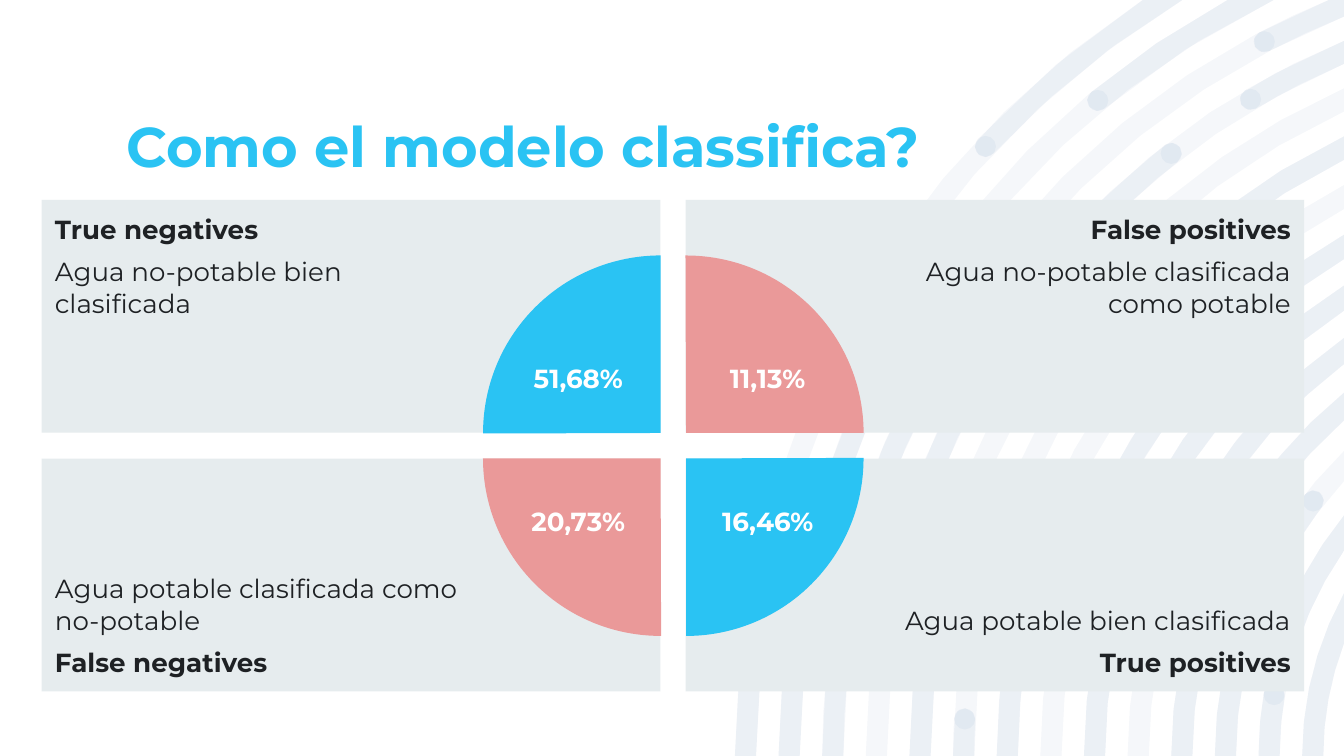
from math import acos, asin, cos, pi, sin

from lxml.etree import SubElement
from pptx import Presentation
from pptx.dml.color import RGBColor
from pptx.enum.shapes import MSO_SHAPE as Shape
from pptx.enum.text import MSO_ANCHOR as Anchor, PP_ALIGN as Align
from pptx.oxml.ns import qn
from pptx.util import Cm, Pt

CYAN = RGBColor(0x2A, 0xC3, 0xF3)
ROSE = RGBColor(0xEA, 0x99, 0x99)
PANEL = RGBColor(0xE6, 0xEC, 0xEE)
INK = RGBColor(0x1E, 0x21, 0x24)
WHITE = RGBColor(0xFF, 0xFF, 0xFF)
NAVY = RGBColor(0x00, 0x45, 0x91)
WIDTH, HEIGHT = 25.4, 14.29


def paint(shape, color, opacity=100):
    shape.shadow.inherit = False
    shape.line.fill.background()
    shape.fill.solid()
    shape.fill.fore_color.rgb = color
    if opacity < 100:
        tint = shape.fill._xPr.find(qn("a:solidFill"))[0]
        SubElement(tint, qn("a:alpha"), val=str(opacity * 1000))


def write(shape, lines, color, align, anchor, margins=None, size=14):
    frame = shape.text_frame
    frame_format = {"word_wrap": True, "vertical_anchor": anchor}
    if margins:
        sides = ("margin_left", "margin_top", "margin_right", "margin_bottom")
        frame_format.update(zip(sides, map(Cm, margins)))
    for name, value in frame_format.items():
        setattr(frame, name, value)
    for index, (text, bold) in enumerate(lines):
        para = frame.add_paragraph() if index else frame.paragraphs[0]
        para.alignment = align
        if index:
            para.space_before = Pt(6)
        if index and index == len(lines) - 1:
            para.space_after = Pt(6)
        span = para.add_run()
        span.text = text
        span_format = {"name": "Montserrat", "size": Pt(size), "bold": bold}
        for name, value in span_format.items():
            setattr(span.font, name, value)
        span.font.color.rgb = color


deck = Presentation()
deck.slide_width, deck.slide_height = Cm(WIDTH), Cm(HEIGHT)
page = deck.slides.add_slide(deck.slide_layouts[6])
shapes = page.shapes

# Concentric rings around a centre beyond the right edge
CENTER_X, CENTER_Y = 30.99, HEIGHT
OUTER, PITCH, BAND = 17.1, 10.72 / 13, 0.4
# Darker stretches per ring: heights of the lower and upper ends, None = slide edge
STRETCHES = [
    [(None, 8.89), (2.77, None)],
    [(None, 7.72), (1.9, None)],
    [(None, 12.65), (10.29, 5.56), (0.79, None)],
    [(9.47, 2.9), (1.88, None)],
    [(None, 8.97)],
    [(None, 13.59), (7.14, None)],
    [(None, 11.28), (7.47, 4.75)],
    [(12.55, None)],
    [(None, None)],
    [(10.97, None)],
    [(None, 12.55), (10.03, None)],
    [(None, 9.47)],
    [(None, 13.13), (12.09, None)],
    [(None, None)],
]
whole_rings = [[(None, None)]] * len(STRETCHES)
ring_layers, dots = [], []
for layer in (whole_rings, STRETCHES):
    contours = []
    for ring, stretches in enumerate(layer):
        outer = OUTER - ring * PITCH
        middle = outer - BAND / 2
        for low, high in stretches:
            angles = [None if y is None else asin((CENTER_Y - y) / middle)
                      for y in (low, high)]
            edges = []
            for radius in (outer, outer - BAND):
                right = acos((CENTER_X - WIDTH) / radius)
                top = asin(min(1, CENTER_Y / radius))
                start = angles[0] or 0
                stop = min(right, top) if high is None else angles[1]
                steps = max(2, round((stop - start) * 10))
                edges.append([(radius, start + (stop - start) * step / steps)
                              for step in range(steps + 1)])
            outline, back = edges
            caps = []
            for angle, sign in ((angles[1], 1), (angles[0], -1)):
                cap = []
                if angle is not None:
                    x, y = CENTER_X - middle * cos(angle), CENTER_Y - middle * sin(angle)
                    dots.append([(x + BAND / 2 * cos(pi * step / 6),
                                  y + BAND / 2 * sin(pi * step / 6)) for step in range(12)])
                    cap = [(middle + sign * BAND / 2 * cos(pi * step / 4),
                            angle + sign * BAND / 2 * sin(pi * step / 4) / middle)
                           for step in (1, 2, 3)]
                caps.append(cap)
            polar = outline + caps[0] + back[::-1] + caps[1]
            points = [(CENTER_X - radius * cos(angle), CENTER_Y - radius * sin(angle))
                      for radius, angle in polar]
            # The ring that meets the slide corner takes the corner in
            last = len(outline)
            if high is None and points[last - 1][0] < WIDTH - 0.01 and points[last][1] > 0.01:
                points.insert(last, (WIDTH, 0))
            contours.append(points)
    ring_layers.append(contours)

# Rings, darker stretches and the dots on their ends, one outline each
for contours in ring_layers + [dots]:
    builder = shapes.build_freeform(*map(Cm, contours[0][0]))
    for index, points in enumerate(contours):
        corners = [(Cm(x), Cm(y)) for x, y in points]
        if index:
            builder.move_to(*corners[0])
        builder.add_line_segments(corners[1:], close=True)
    paint(builder.convert_to_shape(), NAVY, 4)

# Title
title = shapes.add_textbox(Cm(2.39), Cm(2.31), Cm(20.65), Cm(1.09))
write(title, [("Como el modelo classifica?", True)], CYAN, Align.LEFT, Anchor.BOTTOM,
      (0, 0, 0, 0), 30)
title.text_frame.paragraphs[0].line_spacing = 0.9

# Four panels: column, row, lines of text
PANELS = [
    (0, 0, [("True negatives", True), ("Agua no-potable bien clasificada", False)]),
    (1, 0, [("False positives", True), ("Agua no-potable clasificada como potable", False)]),
    (0, 1, [("Agua potable clasificada como no-potable", False), ("False negatives", True)]),
    (1, 1, [("Agua potable bien clasificada", False), ("True positives", True)]),
]
for column, row, lines in PANELS:
    panel = shapes.add_shape(Shape.RECTANGLE, Cm(0.79 + 12.17 * column),
                             Cm(3.78 + 4.89 * row), Cm(11.69), Cm(4.4))
    paint(panel, PANEL)
    margins = (3.81, 0.25, 0.25, 0.25) if column else (0.25, 0.25, 3.81, 0.25)
    write(panel, lines, INK, Align.RIGHT if column else Align.LEFT,
          Anchor.BOTTOM if row else Anchor.TOP, margins)

# Quarter pies, clockwise from the upper left
QUARTERS = [(0, 0, CYAN), (1, 0, ROSE), (1, 1, CYAN), (0, 1, ROSE)]
for turn, (column, row, color) in enumerate(QUARTERS):
    quarter = shapes.add_shape(Shape.PIE, Cm(9.13 + 0.48 * column),
                               Cm(4.83 + 0.48 * row), Cm(6.71), Cm(6.71))
    quarter.adjustments[0], quarter.adjustments[1] = 107.89, 162
    quarter.rotation = 90 * turn
    paint(quarter, color)

# Shares
SHARES = [["51,68%", "11,13%"], ["20,73%", "16,46%"]]
for row, shares in enumerate(SHARES):
    for column, share in enumerate(shares):
        label = shapes.add_textbox(Cm(9.53 + 3.58 * column), Cm(6.73 + 2.69 * row),
                                   Cm(2.8), Cm(0.71))
        write(label, [(share, True)], WHITE, Align.CENTER, Anchor.TOP)

deck.save("out.pptx")
